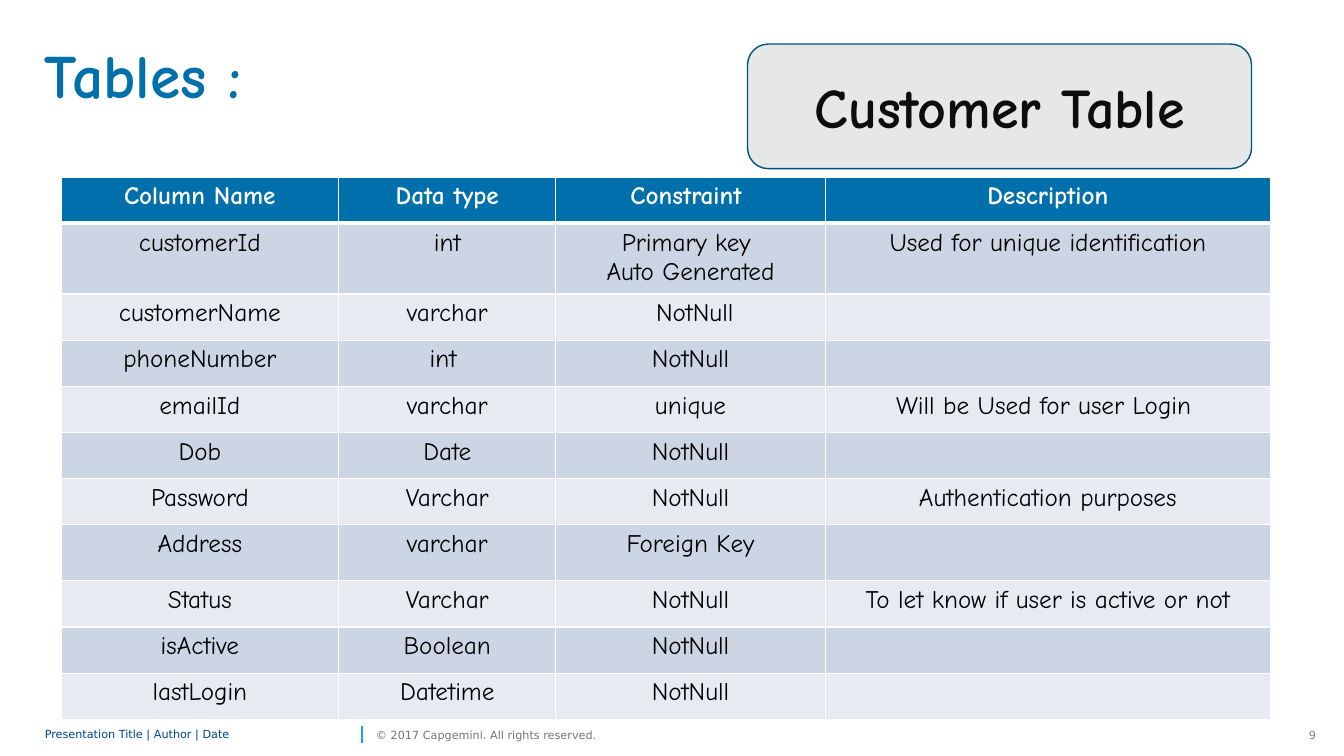
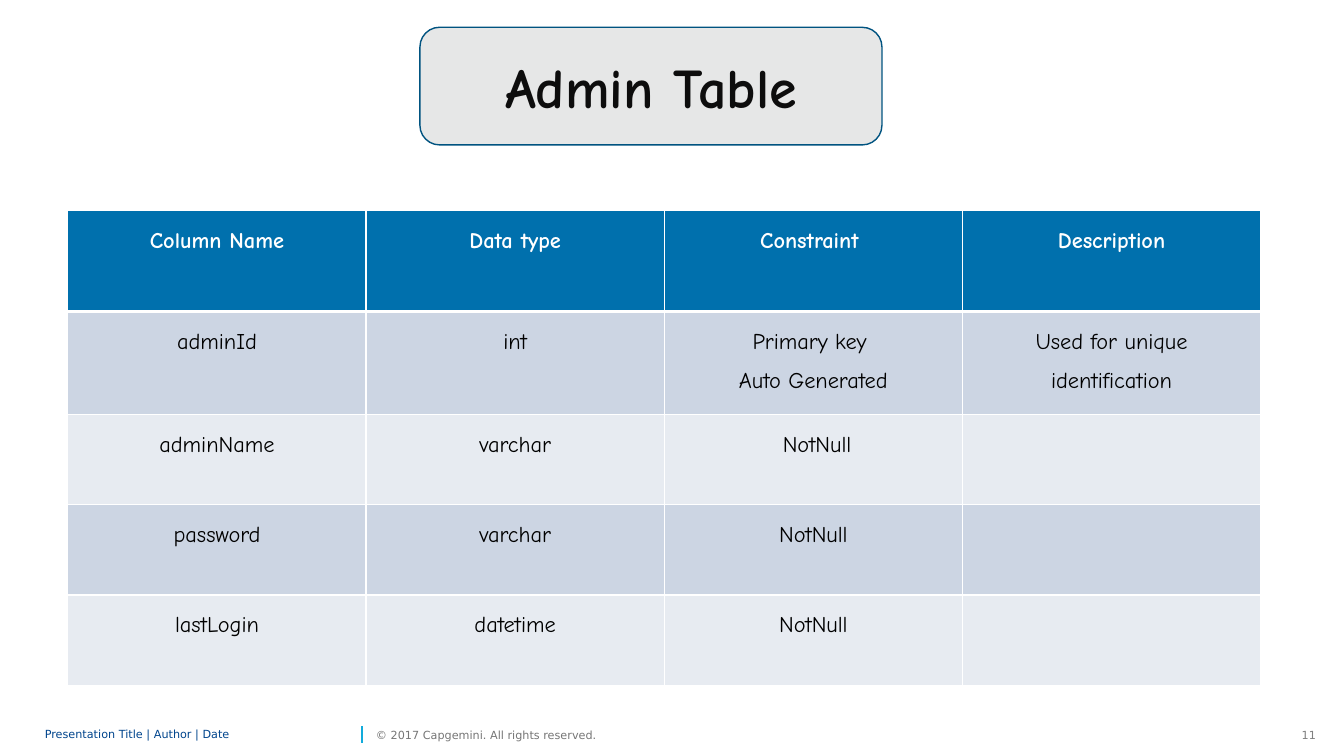
import pptx
import pptx.dml.color
import pptx.enum.shapes
import pptx.enum.text
import pptx.oxml
import pptx.oxml.ns
import pptx.util

Pt = pptx.util.Pt
ALIGN = pptx.enum.text.PP_ALIGN
ANCHOR = pptx.enum.text.MSO_ANCHOR

HEADINGS = ("Column Name", "Data type", "Constraint ", "Description")
KEY_CONSTRAINT = "Primary key \nAuto Generated"

CUSTOMER_ROWS = [
    HEADINGS,
    ("customerId", " int ", KEY_CONSTRAINT, "Used for unique identification"),
    ("customerName", "varchar", " NotNull", ""),
    ("phoneNumber", "int ", "NotNull", ""),
    ("emailId", "varchar", "unique", "Will be Used for user Login "),
    ("Dob", "Date", "NotNull", ""),
    ("Password", "Varchar", "NotNull", "Authentication purposes"),
    ("Address", "varchar", "Foreign Key", ""),
    ("Status", "Varchar", "NotNull", "To let know if user is active or not"),
    ("isActive", "Boolean", "NotNull", ""),
    ("lastLogin", "Datetime", "NotNull", ""),
]

ADMIN_ROWS = [
    HEADINGS,
    ("adminId", " int ", KEY_CONSTRAINT, "Used for unique identification"),
    ("adminName", "varchar", " NotNull", ""),
    ("password", "varchar", "NotNull", ""),
    ("lastLogin", "datetime", "NotNull", ""),
]


def color(hex_string):
    return pptx.dml.color.RGBColor.from_string(hex_string)


class Deck:
    """Holds the shared style and the current slide."""

    FONT = "Comic Neue"
    FOOTER_FONT = "DejaVu Sans"
    BLUE = "0070AD"
    WHITE = "FFFFFF"
    BANDS = ("E7EBF1", "CCD5E3")

    def __init__(self):
        self.presentation = pptx.Presentation()
        self.presentation.slide_width = Pt(960)
        self.presentation.slide_height = Pt(540)
        self.slide = None

    def add_slide(self, number, title=None):
        layout = self.presentation.slide_layouts[5 if title else 6]
        self.slide = self.presentation.slides.add_slide(layout)
        if title:
            self.title(title)
        self.footer(number)

    def style(self, text_frame, size, hex_color, font=FONT, bold=False,
              align=ALIGN.LEFT, spacing=1.0):
        for paragraph in text_frame.paragraphs:
            paragraph.alignment = align
            paragraph.line_spacing = spacing
            for run in paragraph.runs:
                run.font.name = font
                run.font.size = Pt(size)
                run.font.bold = bold
                run.font.color.rgb = color(hex_color)

    def remove_margins(self, text_frame):
        text_frame.margin_left = text_frame.margin_right = 0
        text_frame.margin_top = text_frame.margin_bottom = 0

    def title(self, text):
        shape = self.slide.shapes.title
        shape.left, shape.top = Pt(32), Pt(32)
        shape.width, shape.height = Pt(886), Pt(88)
        text_frame = shape.text_frame
        text_frame.text = text
        text_frame.auto_size = pptx.enum.text.MSO_AUTO_SIZE.NONE
        text_frame.vertical_anchor = ANCHOR.TOP
        self.remove_margins(text_frame)
        self.style(text_frame, 44, self.BLUE, bold=True, spacing=0.9)

    def footer_text(self, text, left, width, hex_color, spacing=1.0, align=ALIGN.LEFT):
        shape = self.slide.shapes.add_textbox(Pt(left), Pt(516), Pt(width), Pt(17.5))
        text_frame = shape.text_frame
        text_frame.text = text
        text_frame.word_wrap = True
        text_frame.vertical_anchor = ANCHOR.MIDDLE
        self.remove_margins(text_frame)
        self.style(text_frame, 8, hex_color, self.FOOTER_FONT, align=align, spacing=spacing)

    def footer(self, number):
        self.footer_text("Presentation Title | Author | Date", 32, 222, "00458D", 0.85)
        self.footer_text("© 2017 Capgemini. All rights reserved.", 268.5, 175, "767676")
        self.footer_text(str(number), 920, 20, "808080", align=ALIGN.RIGHT)
        divider = self.slide.shapes.add_connector(
            pptx.enum.shapes.MSO_CONNECTOR.STRAIGHT,
            Pt(258.5), Pt(530.5), Pt(258.5), Pt(518.5))
        divider.line.color.rgb = color("12ABDB")
        divider.line.width = Pt(1)
        properties = divider._element.spPr
        properties.append(pptx.oxml.parse_xml(
            f'<a:effectLst {pptx.oxml.ns.nsdecls("a")}/>'))

    def name_box(self, text, left, top, width, height):
        shape = self.slide.shapes.add_shape(
            pptx.enum.shapes.MSO_SHAPE.ROUNDED_RECTANGLE,
            Pt(left), Pt(top), Pt(width), Pt(height))
        shape.shadow.inherit = False
        shape.fill.solid()
        shape.fill.fore_color.rgb = color("E6E7E7")
        shape.line.color.rgb = color("005380")
        shape.line.width = Pt(1)
        shape.text_frame.text = text
        shape.text_frame.vertical_anchor = ANCHOR.MIDDLE
        self.style(shape.text_frame, 40, "0D0D0D", bold=True, align=ALIGN.CENTER)

    def borders(self, cell, top, bottom):
        properties = cell._tc.get_or_add_tcPr()
        for side, width in (("L", 1), ("R", 1), ("T", top), ("B", bottom)):
            properties.append(pptx.oxml.parse_xml(
                f'<a:ln{side} {pptx.oxml.ns.nsdecls("a")} w="{Pt(width)}"><a:solidFill>'
                f'<a:srgbClr val="{self.WHITE}"/></a:solidFill></a:ln{side}>'))

    def table(self, rows, left, top, widths, heights, size, spacing=1.0):
        frame = self.slide.shapes.add_table(
            len(rows), len(widths), Pt(left), Pt(top), Pt(sum(widths)), Pt(sum(heights)))
        table = frame.table
        for column, width in zip(table.columns, widths):
            column.width = Pt(width)
        for index, (row, height, texts) in enumerate(zip(table.rows, heights, rows)):
            row.height = Pt(height)
            heading = index == 0
            for cell, text in zip(row.cells, texts):
                # Borders come before the fill in the cell properties
                self.borders(cell, 3 if index == 1 else 1, 3 if heading else 1)
                cell.fill.solid()
                cell.fill.fore_color.rgb = color(
                    self.BLUE if heading else self.BANDS[index % 2])
                cell.text_frame.text = text
                self.style(cell.text_frame, size, self.WHITE if heading else "000000",
                           bold=heading, align=ALIGN.CENTER, spacing=spacing)


def main():
    deck = Deck()

    # Customer table
    deck.add_slide(9, "Tables :")
    deck.name_box("Customer Table", 534, 31.5, 360, 89)
    heights = [40 if row[0] in ("customerId", "Address") else 33 for row in CUSTOMER_ROWS]
    deck.table(CUSTOMER_ROWS, 43.5, 126.5, [198.5, 155, 192.5, 318], heights, 18)

    # Admin table
    deck.add_slide(11)
    deck.name_box("Admin Table", 300, 19.5, 330, 84)
    deck.table(ADMIN_ROWS, 48.5, 150.5, [213] * 4, [72, 73.5] + [64.5] * 3, 16, 1.5)

    deck.presentation.save("out.pptx")


if __name__ == "__main__":
    main()
